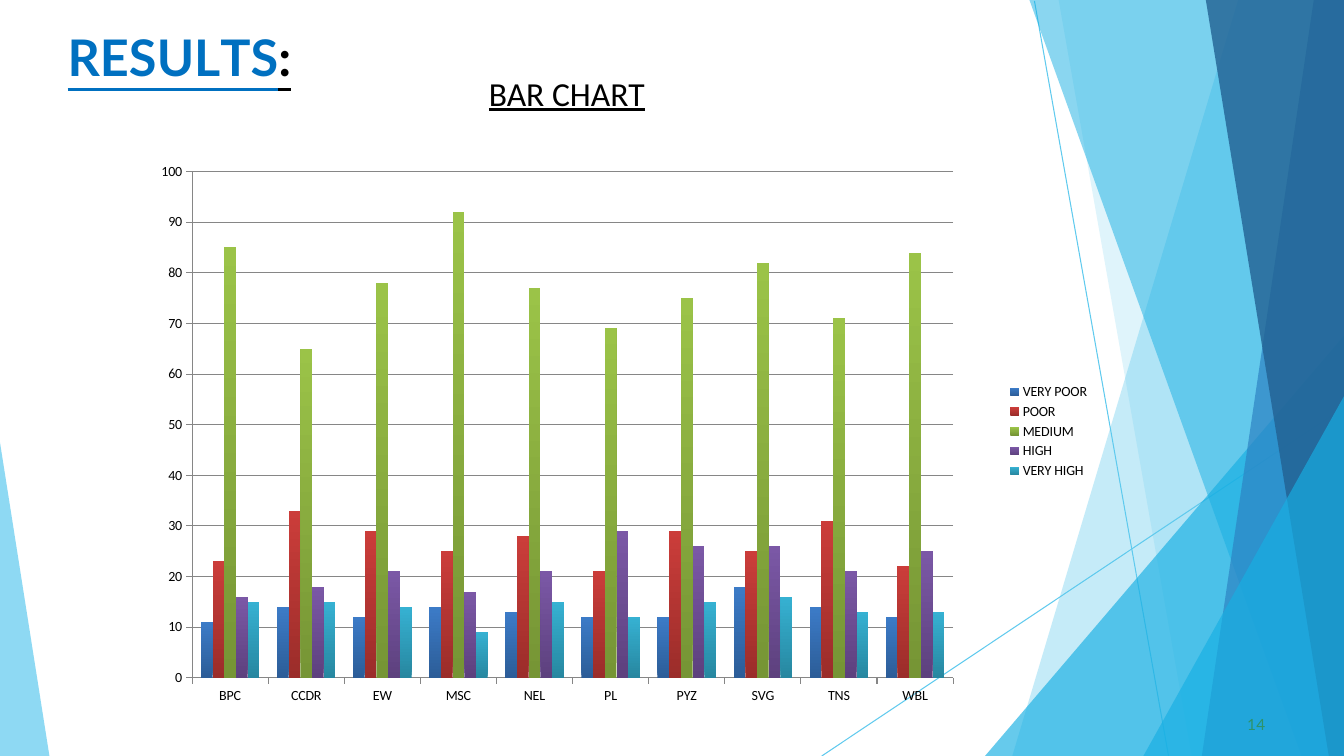
from lxml import etree
from pptx import Presentation
from pptx.chart.data import CategoryChartData
from pptx.dml.color import RGBColor
from pptx.enum.chart import XL_CHART_TYPE, XL_LEGEND_POSITION, XL_TICK_MARK
from pptx.enum.text import MSO_ANCHOR, MSO_AUTO_SIZE, PP_ALIGN
from pptx.oxml import parse_xml
from pptx.oxml.ns import nsdecls, qn
from pptx.util import Inches, Pt

CLUSTERED = XL_CHART_TYPE.COLUMN_CLUSTERED
LEGEND_RIGHT = XL_LEGEND_POSITION.RIGHT
TICK_OUTSIDE = XL_TICK_MARK.OUTSIDE
TOP, LEFT = MSO_ANCHOR.TOP, PP_ALIGN.LEFT
NO_AUTO_SIZE = MSO_AUTO_SIZE.NONE

COLOURS = {
    "sky": "5FCAEE", "cyan": "17AFE3", "blue": "2D83C3", "navy": "226192",
    "title": "0070C0", "black": "000000", "number": "2D936B", "grid": "868686",
}
WIDTH, HEIGHT = 13.33, 7.5


def colour(name):
    return RGBColor.from_string(COLOURS[name])


def write_text(shape, runs, size, font_name, insets, space_before=0, **font_format):
    """Fill a text shape with one paragraph of (text, colour, spacing) runs."""
    frame = shape.text_frame
    frame.word_wrap = True
    frame.auto_size = NO_AUTO_SIZE
    frame.vertical_anchor = TOP
    sides = ("margin_left", "margin_top", "margin_right", "margin_bottom")
    for side, inset in zip(sides, insets):
        setattr(frame, side, Inches(inset))
    paragraph = frame.paragraphs[0]
    paragraph.alignment = LEFT
    paragraph.space_before = Pt(space_before)
    for text, colour_name, spacing in runs:
        run = paragraph.add_run()
        run.text = text
        font_values = {"size": Pt(size), "name": font_name, **font_format}
        for attribute, value in font_values.items():
            setattr(run.font, attribute, value)
        run.font.color.rgb = colour(colour_name)
        if spacing:
            run.font._element.set("spc", str(round(spacing * 100)))


presentation = Presentation()
presentation.slide_width = Inches(WIDTH)
presentation.slide_height = Inches(HEIGHT)
slide = presentation.slides.add_slide(presentation.slide_layouts[5])
shapes = slide.shapes

# Thin lines behind the facets
for start_x, start_y, end_x in ((10.26, 0.01, 11.59), (WIDTH, 4.04, 8.15)):
    line = shapes.add_connector(1, Inches(start_x), Inches(start_y), Inches(end_x), Inches(HEIGHT))
    line.line.color.rgb = colour("sky")
    line.line.width = Pt(0.75)
    etree.SubElement(line._element.spPr, qn("a:effectLst"))

# Translucent facets: corner points, colour, opacity in percent
right_top, right_bottom = (WIDTH, 0), (WIDTH, HEIGHT)
facets = [
    ([right_top, (12.28, 0), (10.04, HEIGHT), right_bottom], "sky", 36),
    ([right_top, (10.5, 0), (11.82, HEIGHT), right_bottom], "sky", 20),
    ([(WIDTH, 3.33), (9.77, HEIGHT), right_bottom], "cyan", 66),
    ([right_top, (10.21, 0), (12.91, HEIGHT), right_bottom], "cyan", 50),
    ([right_top, (13.03, 0), (11.92, HEIGHT), right_bottom], "blue", 70),
    ([right_top, (11.96, 0), (13.18, HEIGHT), right_bottom], "navy", 80),
    ([(WIDTH, 3.93), (11.34, HEIGHT), right_bottom], "cyan", 66),
    ([(0, 4.39), (0, HEIGHT), (0.49, HEIGHT)], "sky", 70),
]
for points, colour_name, opacity in facets:
    corners = [(Inches(x), Inches(y)) for x, y in points]
    builder = shapes.build_freeform(*corners[0])
    builder.add_line_segments(corners[1:], close=True)
    facet = builder.convert_to_shape()
    facet.shadow.inherit = False
    facet.line.fill.background()
    facet.fill.solid()
    facet.fill.fore_color.rgb = colour(colour_name)
    rgb_element = facet._element.spPr.find(".//" + qn("a:srgbClr"))
    etree.SubElement(rgb_element, qn("a:alpha")).set("val", str(opacity * 1000))

# Title
title = shapes.title
title.left, title.top, title.width, title.height = map(Inches, (0.67, 0.25, 2.25, 0.62))
title_runs = [
    ("R", "title", 0), ("E", "title", -0.4), ("S", "title", 0.1), ("U", "title", -0.3),
    ("L", "title", -4), ("TS", "title", 0), (":", "black", 0),
]
write_text(title, title_runs, 36, "Lato", (0, 0.01, 0, 0), bold=True, underline=True)

# Slide number
number = shapes.add_textbox(*map(Inches, (12.33, 7.08, 0.25, 0.21)))
write_text(number, [("14", "number", 0.1)], 11, "Lato", (0.04, 0.01, 0, 0))

# Ratings chart
ratings = CategoryChartData()
ratings.categories = ["BPC", "CCDR", "EW", "MSC", "NEL", "PL", "PYZ", "SVG", "TNS", "WBL"]
# Name, values, gradient colours from bottom to top
rating_series = [
    ("VERY POOR", (11, 14, 12, 14, 13, 12, 12, 18, 14, 12), ("2C5D98", "3C7BC7")),
    ("POOR", (23, 33, 29, 25, 28, 21, 29, 25, 31, 22), ("9B2D2A", "CB3D3A")),
    ("MEDIUM", (85, 65, 78, 92, 77, 69, 75, 82, 71, 84), ("769535", "9BC348")),
    ("HIGH", (16, 18, 21, 17, 21, 29, 26, 26, 21, 25), ("5D417E", "7B58A6")),
    ("VERY HIGH", (15, 15, 14, 9, 15, 12, 15, 16, 13, 13), ("2787A0", "36B1D2")),
]
for name, values, _ in rating_series:
    ratings.add_series(name, values)
chart_frame = shapes.add_chart(CLUSTERED, *map(Inches, (1.33, 1.52, 9.58, 5.52)), ratings)
chart = chart_frame.chart
chart.has_title = False
chart.font.size = Pt(10)
chart.font.name = "Calibri"
chart.font.color.rgb = colour("black")
chart.has_legend = True
chart.legend.position = LEGEND_RIGHT
chart.legend.include_in_layout = False

plot = chart.plots[0]
plot.vary_by_categories = False
plot.gap_width = 150
plot.overlap = 0
for series, (_, _, gradient) in zip(plot.series, rating_series):
    series.invert_if_negative = False
    fill = series.format.fill
    fill.gradient()
    fill.gradient_angle = 90
    for stop, hex_value in zip(fill.gradient_stops, gradient):
        stop.color.rgb = RGBColor.from_string(hex_value)

# Axes and gridlines
value_axis = chart.value_axis
value_axis.minimum_scale, value_axis.maximum_scale, value_axis.major_unit = 0, 100, 10
value_axis.has_major_gridlines = True
for axis in (chart.category_axis, value_axis):
    axis.major_tick_mark = TICK_OUTSIDE
for lined_part in (chart.category_axis, value_axis, value_axis.major_gridlines):
    lined_part.format.line.color.rgb = colour("grid")
    lined_part.format.line.width = Pt(0.75)

# Fixed plot area
plot_area = chart._chartSpace.chart.plotArea
for old_layout in plot_area.findall(qn("c:layout")):
    plot_area.remove(old_layout)
plot_area.insert(0, parse_xml(
    f'<c:layout {nsdecls("c")}><c:manualLayout><c:layoutTarget val="inner"/>'
    '<c:xMode val="edge"/><c:yMode val="edge"/><c:x val="0.06"/><c:y val="0.033"/>'
    '<c:w val="0.788"/><c:h val="0.91"/></c:manualLayout></c:layout>'))

# Chart heading
heading = shapes.add_textbox(*map(Inches, (4.75, 0.67, 1.92, 0.5)))
write_text(heading, [("BAR CHART", "black", 0)], 24, "Calibri", (0.1, 0.05, 0.1, 0.05), underline=True)

presentation.save("out.pptx")
